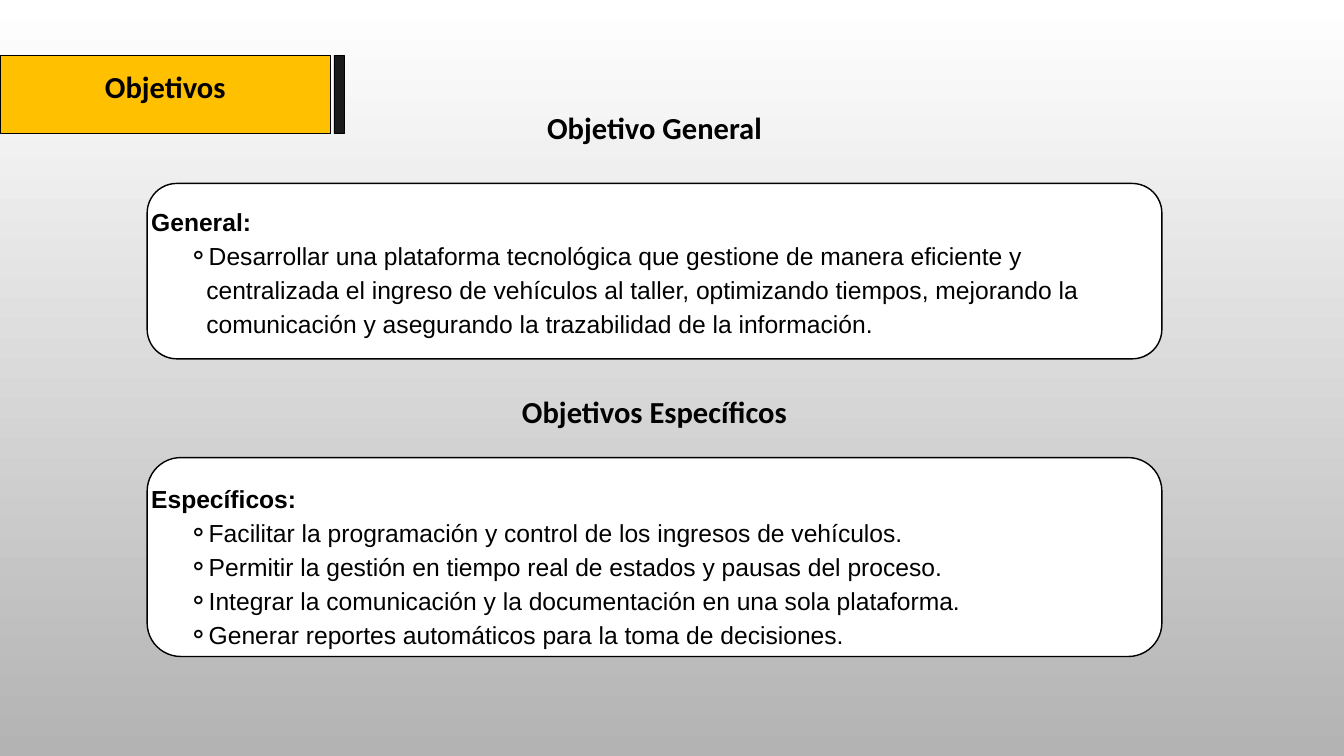
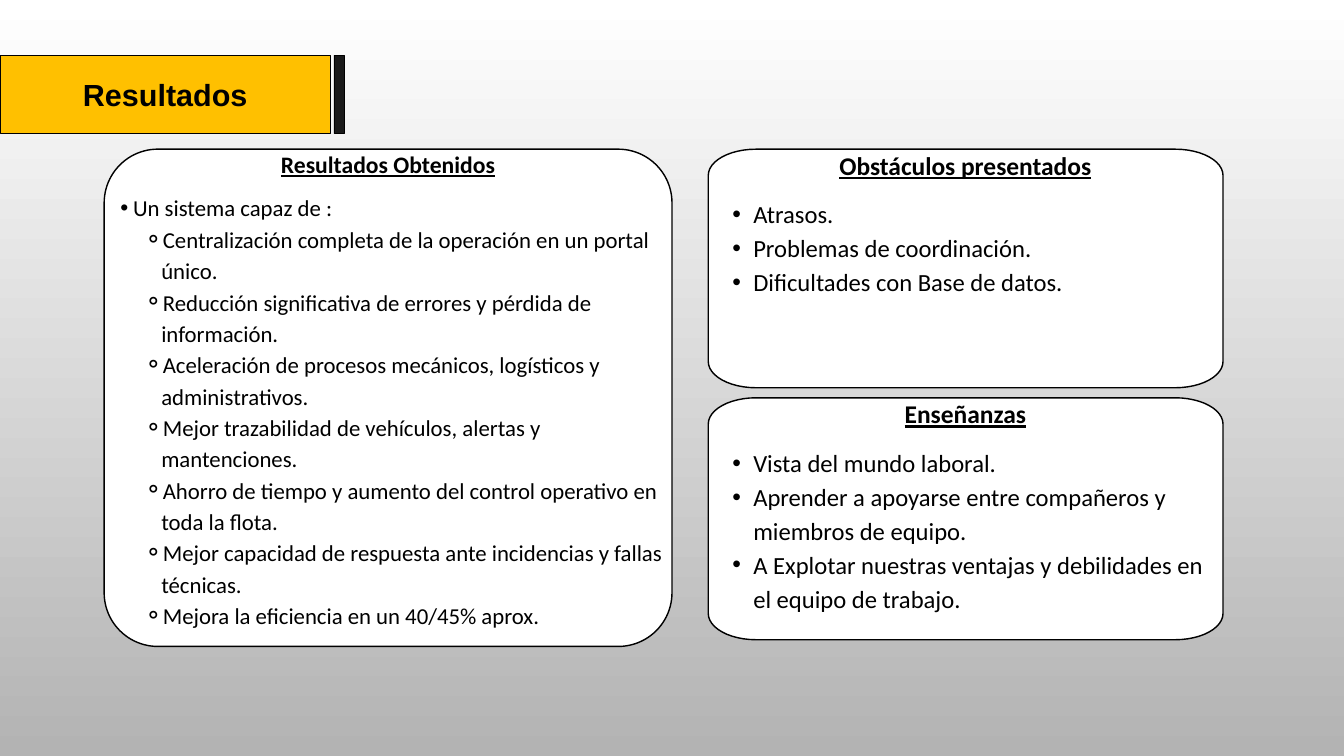
"""Build the objectives and results slides."""
from dataclasses import dataclass, replace
from math import cos, pi, sin

from lxml import etree
from pptx import Presentation
from pptx.dml.color import RGBColor
from pptx.enum.shapes import MSO_SHAPE as Shape
from pptx.enum.text import MSO_ANCHOR as Anchor, MSO_AUTO_SIZE as AutoSize, PP_ALIGN as Align
from pptx.oxml.ns import qn
from pptx.util import Inches, Pt

BLACK = RGBColor(0x00, 0x00, 0x00)
WHITE = RGBColor(0xFF, 0xFF, 0xFF)
SILVER = RGBColor(0xB3, 0xB3, 0xB3)
AMBER = RGBColor(0xFF, 0xC0, 0x00)
CHARCOAL = RGBColor(0x1A, 0x1A, 0x1A)


@dataclass
class TextStyle:
    size: float
    spacing: float
    font: str = "Calibri"
    bold: bool = False
    underline: bool = False
    align: Align = Align.LEFT
    bullet: str = ""
    margin: float = 0
    hang: float = 0
    level: int = 0
    before: float = 0


HEADING = TextStyle(32.7, 39.3, bold=True, align=Align.CENTER)
ARIAL_HEADING = replace(HEADING, font="Arial")
LABEL = TextStyle(26.4, 36.4, font="Arial", bold=True)
GOAL = replace(LABEL, bold=False, bullet="⚬", margin=0.82, hang=0.27, level=2)
CARD_TITLE = TextStyle(27.3, 32.7, bold=True, underline=True, align=Align.CENTER)
CARD_ITEM = TextStyle(26.4, 36.4, bullet="•", margin=0.62, hang=0.31, level=1)
RESULT_TITLE = replace(CARD_TITLE, size=25.3, spacing=30.3)
RESULT_INTRO = TextStyle(24.4, 33.6, bullet="•", margin=0.37, hang=0.19, level=1, before=12.9)
RESULT_ITEM = replace(RESULT_INTRO, bullet="⚬", margin=0.79, hang=0.26, level=2, before=0)


class Deck:
    """Hold the shared style and the slide being built."""

    def __init__(self):
        self.prs = Presentation()
        self.prs.slide_width, self.prs.slide_height = Inches(20), Inches(11.25)
        backdrop = self.prs.slide_master.background.fill
        backdrop.gradient()
        backdrop.gradient_angle = 270
        for stop, color, position in zip(backdrop.gradient_stops, (WHITE, SILVER), (0, 1)):
            stop.color.rgb = color
            stop.position = position

    def new_slide(self, title, style, anchor=Anchor.MIDDLE, top_inset=0):
        self.slide = self.prs.slides.add_slide(self.prs.slide_layouts[5])
        band = self.slide.shapes.title
        band.left, band.top, band.width, band.height = map(Inches, (0, 0.82, 4.92, 1.17))
        self.paint(band, AMBER, 1)
        self.fill_frame(band.text_frame, [(title, style)], 0, anchor)
        band.text_frame.margin_top = Inches(top_inset)
        accent = self.slide.shapes.add_shape(
            Shape.RECTANGLE, *map(Inches, (4.97, 0.82, 0.15, 1.17)))
        self.paint(accent, CHARCOAL, 1)

    def paint(self, shape, color, line_width):
        shape.fill.solid()
        shape.fill.fore_color.rgb = color
        shape.line.color.rgb = BLACK
        shape.line.width = Pt(line_width)
        shape.shadow.inherit = False

    def panel(self, left, top, width, height, radius):
        card = self.slide.shapes.add_shape(
            Shape.ROUNDED_RECTANGLE, *map(Inches, (left, top, width, height)))
        card.adjustments[0] = radius / min(width, height)
        self.paint(card, WHITE, 1.5)

    def oval_panel(self, left, top, width, height, radius_x, radius_y, steps=12):
        right, bottom = left + width - radius_x, top + height - radius_y
        centers = ((right, bottom), (left + radius_x, bottom),
                   (left + radius_x, top + radius_y), (right, top + radius_y))
        outline = []
        for quarter, (x, y) in enumerate(centers):
            for step in range(steps + 1):
                angle = (quarter + step / steps) * pi / 2
                outline.append((Inches(x + radius_x * cos(angle)),
                                Inches(y + radius_y * sin(angle))))
        builder = self.slide.shapes.build_freeform(*outline[0])
        builder.add_line_segments(outline[1:], close=True)
        self.paint(builder.convert_to_shape(), WHITE, 1.5)

    def text(self, left, top, width, height, lines, inset=0.06):
        box = self.slide.shapes.add_textbox(*map(Inches, (left, top, width, height)))
        self.fill_frame(box.text_frame, lines, inset, Anchor.TOP)

    def fill_frame(self, frame, lines, inset, anchor):
        frame.word_wrap = True
        frame.auto_size = AutoSize.NONE
        frame.vertical_anchor = anchor
        frame.margin_left = frame.margin_right = Inches(inset)
        frame.margin_top = frame.margin_bottom = Inches(inset)
        frame.text = "\n".join(words for words, _ in lines)
        for paragraph, (_, style) in zip(frame.paragraphs, lines):
            self.style_paragraph(paragraph, style)

    def style_paragraph(self, paragraph, style):
        paragraph.alignment = style.align
        paragraph.level = style.level
        paragraph.line_spacing = Pt(style.spacing)
        paragraph.space_before = Pt(style.before)
        if style.bullet:
            props = paragraph._p.get_or_add_pPr()
            props.set("marL", str(Inches(style.margin)))
            props.set("indent", str(-Inches(style.hang)))
            etree.SubElement(props, qn("a:buFont")).set("typeface", "Arial")
            etree.SubElement(props, qn("a:buChar")).set("char", style.bullet)
        for run in paragraph.runs:
            run.font.name = style.font
            run.font.size = Pt(style.size)
            run.font.bold = style.bold
            run.font.underline = style.underline
            run.font.color.rgb = BLACK


def build_objectives(deck):
    deck.new_slide("Objetivos", HEADING, Anchor.TOP, 0.19)
    sections = [
        ("Objetivo General", 1.62, 2.73, 2.61, 0.44, 2.96, "General:", [
            "Desarrollar una plataforma tecnológica que gestione de manera eficiente y "
            "centralizada el ingreso de vehículos al taller, optimizando tiempos, mejorando la "
            "comunicación y asegurando la trazabilidad de la información."]),
        ("Objetivos Específicos", 5.84, 6.81, 2.96, 0.5, 7.08, "Específicos:", [
            "Facilitar la programación y control de los ingresos de vehículos.",
            "Permitir la gestión en tiempo real de estados y pausas del proceso.",
            "Integrar la comunicación y la documentación en una sola plataforma.",
            "Generar reportes automáticos para la toma de decisiones."]),
    ]
    for heading, heading_top, top, height, radius, text_top, label, goals in sections:
        deck.text(1.45, heading_top, 16.58, 0.62, [(heading, HEADING)], inset=0)
        deck.panel(2.19, top, 15.1, height, radius)
        deck.text(2.19, text_top, 15.1, top + height - text_top,
                  [(label, LABEL)] + [(goal, GOAL) for goal in goals])


def build_results(deck):
    deck.new_slide("Resultados", ARIAL_HEADING)
    results = [
        "Centralización completa de la operación en un portal único.",
        "Reducción significativa de errores y pérdida de información.",
        "Aceleración de procesos mecánicos, logísticos y administrativos.",
        "Mejor trazabilidad de vehículos, alertas y mantenciones.",
        "Ahorro de tiempo y aumento del control operativo en toda la flota.",
        "Mejor capacidad de respuesta ante incidencias y fallas técnicas.",
        "Mejora la eficiencia en un 40/45% aprox.",
    ]
    deck.panel(1.55, 2.22, 8.45, 7.4, 0.8)
    deck.text(1.55, 2.17, 8.45, 7.45,
              [("Resultados Obtenidos", RESULT_TITLE), ("Un sistema capaz de :", RESULT_INTRO)]
              + [(result, RESULT_ITEM) for result in results])

    cards = [
        ("Obstáculos presentados", 2.22, 3.55, [
            "Atrasos.", "Problemas de coordinación.", "Dificultades con Base de datos."]),
        ("Enseñanzas", 5.92, 3.6, [
            "Vista del mundo laboral.",
            "Aprender a apoyarse entre compañeros y miembros de equipo.",
            "A Explotar nuestras ventajas y debilidades en el equipo de trabajo."]),
    ]
    for title, top, height, (first, *others) in cards:
        deck.oval_panel(10.54, top, 7.66, height, 0.71, 0.39)
        deck.text(10.53, top - 0.05, 7.67, height + 0.05,
                  [(title, CARD_TITLE), (first, replace(CARD_ITEM, before=15.3))]
                  + [(item, CARD_ITEM) for item in others])


def main():
    deck = Deck()
    build_objectives(deck)
    build_results(deck)
    deck.prs.save("out.pptx")


if __name__ == "__main__":
    main()
